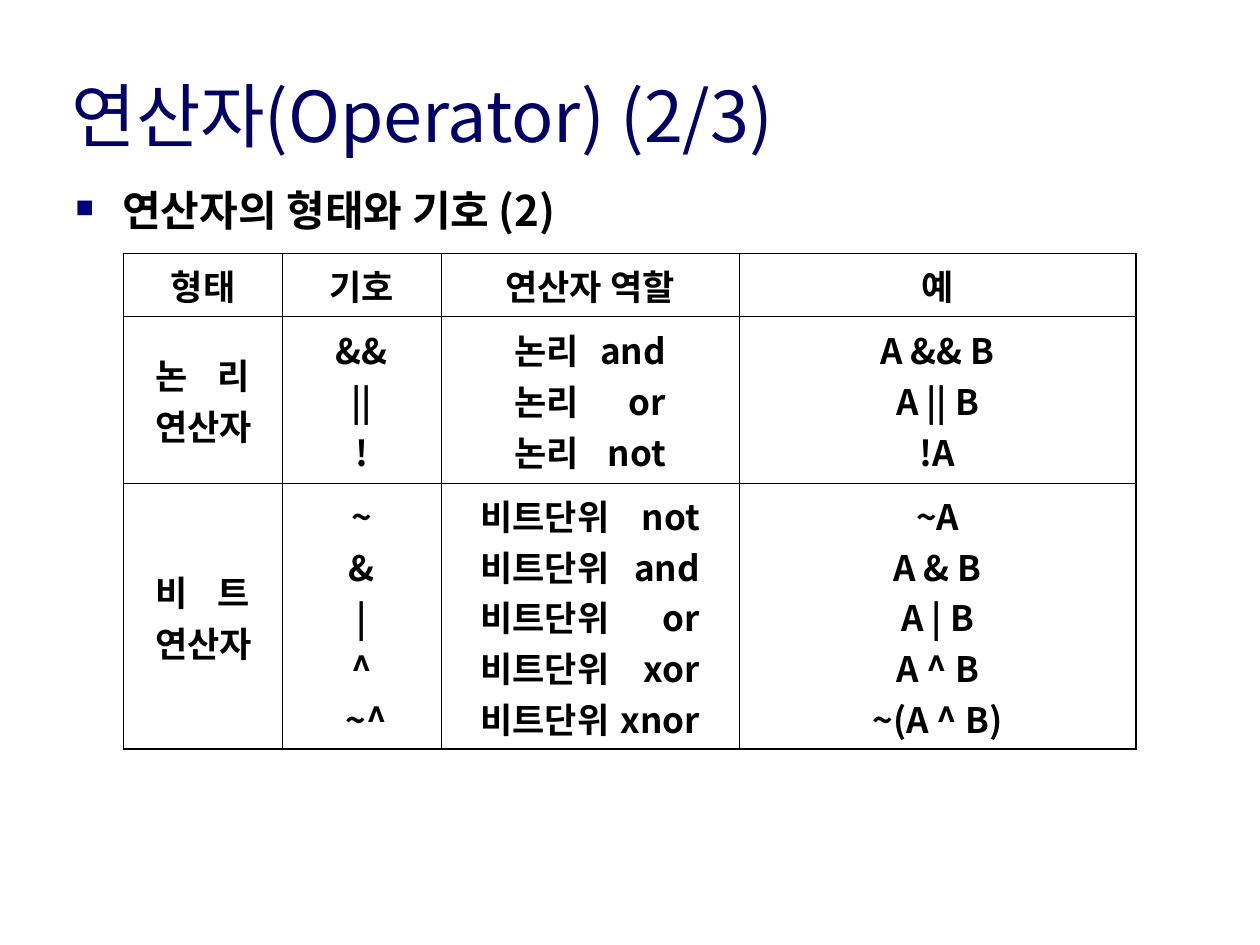
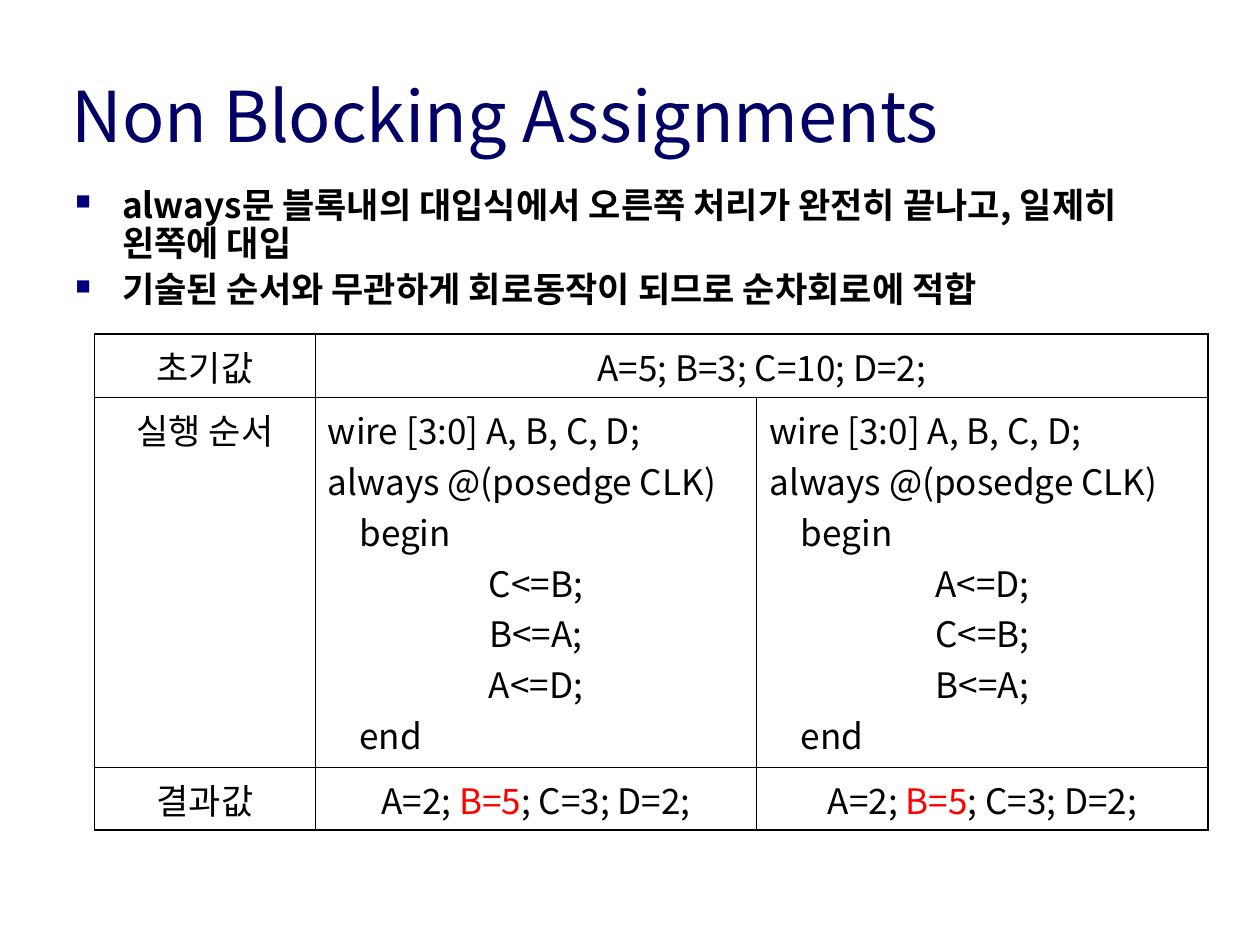
"""Build two lecture slides on operators and non-blocking assignments."""
from typing import NamedTuple

from lxml import etree
from pptx import Presentation
from pptx.dml.color import RGBColor
from pptx.enum.text import MSO_ANCHOR, PP_ALIGN
from pptx.oxml.ns import qn
from pptx.util import Inches, Pt

FONT = "Noto Sans CJK KR"
HUE = {"title": "000066", "mark": "00007D", "text": "000000", "hot": "FF0000"}
LEFT, MID = PP_ALIGN.LEFT, PP_ALIGN.CENTER
TOP, CENTER = MSO_ANCHOR.TOP, MSO_ANCHOR.MIDDLE
THICK, THIN = 1.13, 0.45


class Para(NamedTuple):
    text: str
    align: PP_ALIGN = MID
    indent: float = 0
    hot: str = ""


class Cell(NamedTuple):
    paras: list[Para]
    pad: float = 0.1
    tab: float = 0
    span: int = 1


class Grid(NamedTuple):
    left: float
    top: float
    cols: list[float]
    rows: list[float]
    cells: list[list[Cell]]
    bold: bool
    anchor: MSO_ANCHOR


class Page(NamedTuple):
    title: str
    points: list[str]
    size: int
    before: int
    pitch: float
    grid: Grid


def add(node, tag: str, **attrs: str):
    """Append a DrawingML child and return it."""
    return etree.SubElement(node, qn(f"a:{tag}"), attrs)


def style(para, size: int, hue: str = "text", bold: bool = False) -> None:
    """Set the font of a whole paragraph."""
    font = para.font
    font.size, font.bold, font.name = Pt(size), bold, FONT
    font.color.rgb = RGBColor.from_string(HUE[hue])
    add(para._p.pPr.find(qn("a:defRPr")), "ea", typeface=FONT)


def add_box(slide, left: float, top: float, width: float, height: float):
    """Add a wrapping text box and return its frame."""
    box = slide.shapes.add_textbox(Inches(left), Inches(top), Inches(width), Inches(height))
    box.text_frame.word_wrap = True
    return box.text_frame


def next_para(frame, first: bool):
    """Return the first paragraph or a new one."""
    return frame.paragraphs[0] if first else frame.add_paragraph()


def add_points(slide, page: Page) -> None:
    """Write the bulleted lines."""
    frame = add_box(slide, 0.5, 1.44, 9, 5.41)
    for i, text in enumerate(page.points):
        para = next_para(frame, i == 0)
        para.text = text
        para.space_before, para.line_spacing = Pt(page.before), page.pitch
        prop = para._p.get_or_add_pPr()
        prop.set("marL", str(Inches(0.37)))
        prop.set("indent", str(Inches(-0.37)))
        add(add(prop, "buClr"), "srgbClr", val=HUE["mark"])
        add(prop, "buSzPct", val="60000")
        add(prop, "buChar", char="■")
        style(para, page.size, bold=True)


def set_edges(cell, widths: dict[str, float]) -> None:
    """Draw the borders of one cell."""
    prop = cell._tc.get_or_add_tcPr()
    for side, width in widths.items():
        line = add(prop, f"ln{side}", w=str(Pt(width)))
        add(add(line, "solidFill"), "srgbClr", val=HUE["text"])
    cell.fill.background()


def fill_cell(cell, data: Cell, grid: Grid) -> None:
    """Write the paragraphs of one cell."""
    cell.margin_left, cell.vertical_anchor = Inches(data.pad), grid.anchor
    for i, item in enumerate(data.paras):
        para = next_para(cell.text_frame, i == 0)
        para.alignment = item.align
        prop = para._p.get_or_add_pPr()
        if item.indent:
            prop.set("marL", str(Inches(item.indent)))
        if data.tab:
            add(add(prop, "tabLst"), "tab", pos=str(Inches(data.tab)), algn="r")
        style(para, 20, bold=grid.bold)
        parts = item.text.partition(item.hot) if item.hot else (item.text,)
        for part in parts:
            run = para.add_run()
            run.text = part
            if part == item.hot:
                run.font.color.rgb = RGBColor.from_string(HUE["hot"])


def add_grid(slide, grid: Grid) -> None:
    """Draw a ruled table with a thick frame."""
    high, wide = len(grid.rows), len(grid.cols)
    table = slide.shapes.add_table(
        high, wide, Inches(grid.left), Inches(grid.top),
        Inches(sum(grid.cols)), Inches(sum(grid.rows))).table
    table.first_row = table.horz_banding = False
    for col, width in zip(table.columns, grid.cols):
        col.width = Inches(width)
    for row, height in zip(table.rows, grid.rows):
        row.height = Inches(height)
    for r, row in enumerate(grid.cells):
        c = 0
        for data in row:
            cell, end = table.cell(r, c), c + data.span
            outer = {"L": c == 0, "R": end == wide, "T": r == 0, "B": r == high - 1}
            widths = {side: THICK if edge else THIN for side, edge in outer.items()}
            for i in range(c, end):
                set_edges(table.cell(r, i), widths)
            if data.span > 1:
                cell.merge(table.cell(r, end - 1))
            fill_cell(cell, data, grid)
            c = end


def add_page(deck, page: Page) -> None:
    """Add one slide with title, points and table."""
    slide = deck.slides.add_slide(deck.slide_layouts[6])
    frame = add_box(slide, 0.47, 0.48, 9.19, 0.86)
    frame.vertical_anchor = CENTER
    para = frame.paragraphs[0]
    para.text = page.title
    style(para, 40, "title")
    add_points(slide, page)
    add_grid(slide, page.grid)


def mid(*lines: str, hot: str = "", span: int = 1) -> Cell:
    """Make a cell of centred lines."""
    return Cell([Para(line, hot=hot) for line in lines], span=span)


def tabbed(pad: float, tab: float, *lines: str) -> Cell:
    """Make a cell whose lines end at a right tab."""
    return Cell([Para(line, LEFT) for line in lines], pad, tab)


def roles(pad: float, tab: float, kind: str, *names: str) -> Cell:
    """Make a cell that pairs one kind with each name."""
    return tabbed(pad, tab, *(f"{kind}\t{name}" for name in names))


def code(*steps: str) -> Cell:
    """Make a cell with an always block around the steps."""
    head = [Para("wire [3:0] A, B, C, D;", LEFT), Para("always @(posedge CLK)", LEFT)]
    body = [Para(step) for step in steps]
    return Cell([*head, Para("begin", LEFT, 0.25), *body, Para("end", LEFT, 0.25)])


SIGNS = Cell([*map(Para, "~&|^"), Para("~^", indent=0.07)])
RESULT = mid("A=2; B=5; C=3; D=2;", hot="B=5")

PAGES = [
    Page("연산자(Operator) (2/3)", ["연산자의 형태와 기호 (2)"], 24, 6, 0.96, Grid(
        0.98, 2.01, [1.26, 1.26, 2.36, 3.15], [0.5, 1.32, 2.11], [
            [mid("형태"), mid("기호"), mid("연산자 역할"), mid("예")],
            [tabbed(0.25, 0.75, "논\t리", "연산자"), mid("&&", "||", "!"),
             roles(0.58, 1.2, "논리", "and", "or", "not"),
             mid("A && B", "A || B", "!A")],
            [tabbed(0.25, 0.75, "비\t트", "연산자"), SIGNS,
             roles(0.31, 1.74, "비트단위", "not", "and", "or", "xor", "xnor"),
             mid("~A", "A & B", "A | B", "A ^ B", "~(A ^ B)")],
        ], True, CENTER)),
    Page("Non Blocking Assignments", [
        "always문 블록내의 대입식에서 오른쪽 처리가 완전히 끝나고, 일제히 왼쪽에 대입",
        "기술된 순서와 무관하게 회로동작이 되므로 순차회로에 적합",
    ], 20, 5, 0.9, Grid(
        0.75, 2.65, [1.75, 3.5, 3.58], [0.5, 2.93, 0.5], [
            [mid("초기값"), mid("A=5; B=3; C=10; D=2;", span=2)],
            [mid("실행 순서"), code("C<=B;", "B<=A;", "A<=D;"),
             code("A<=D;", "C<=B;", "B<=A;")],
            [mid("결과값"), RESULT, RESULT],
        ], False, TOP)),
]


def main() -> None:
    """Build and save the deck."""
    deck = Presentation()
    deck.slide_width, deck.slide_height = Inches(9.99), Inches(7.49)
    for page in PAGES:
        add_page(deck, page)
    deck.save("out.pptx")


if __name__ == "__main__":
    main()
